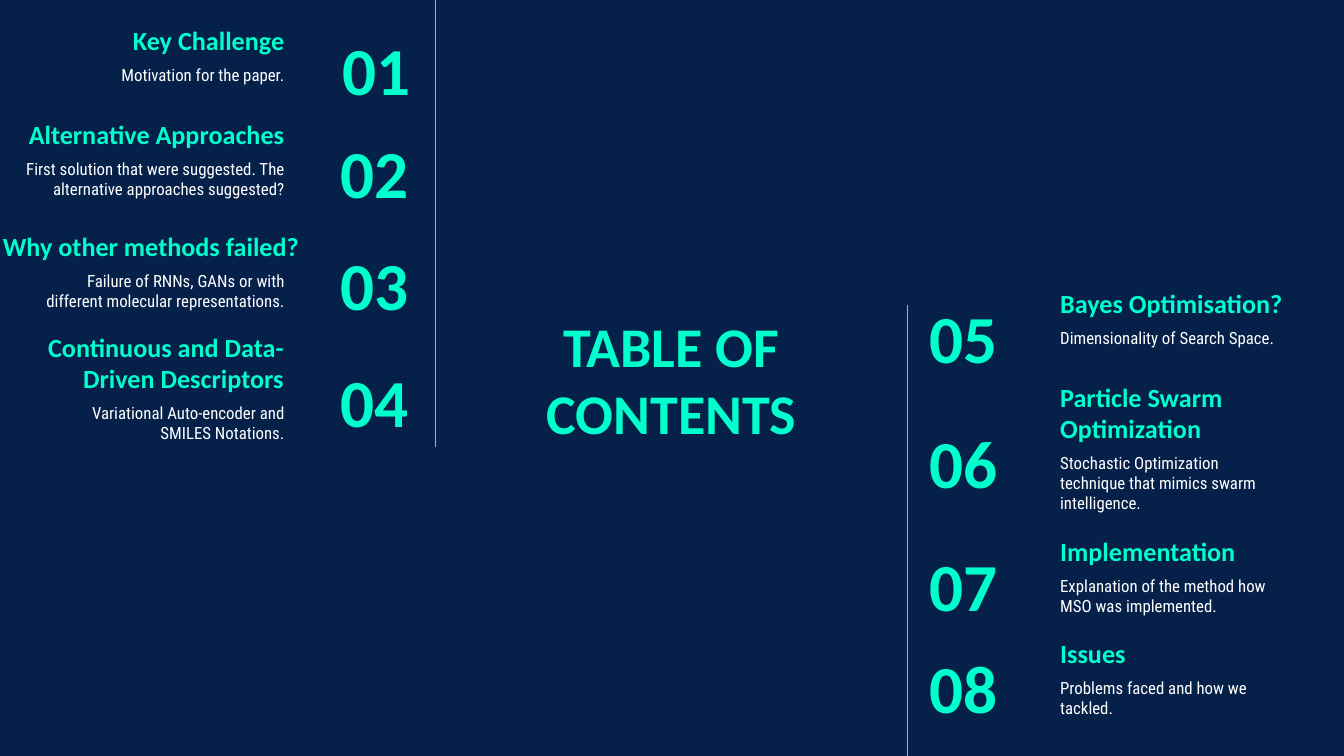
from lxml import etree
from pptx import Presentation
from pptx import util as u
from pptx.dml.color import RGBColor
from pptx.enum import shapes, text
from pptx.oxml import ns

NAVY = RGBColor(0x05, 0x21, 0x4A)
MINT = RGBColor(0x00, 0xFF, 0xCD)
WHITE = RGBColor(0xFF, 0xFF, 0xFF)

LEFT, CENTER, RIGHT = text.PP_ALIGN.LEFT, text.PP_ALIGN.CENTER, text.PP_ALIGN.RIGHT
TOP, MIDDLE, BOTTOM = text.MSO_ANCHOR.TOP, text.MSO_ANCHOR.MIDDLE, text.MSO_ANCHOR.BOTTOM

ROW_HEIGHT = 45.4
DETAIL_DROP = 35.7
RIGHT_NUMBER_DROP = 25.2

# number, heading, detail, heading top, number top, heading right, heading width, detail width
LEFT_TOPICS = [
    ("01", "Key Challenge", "Motivation for the paper.",
     -8.5, 14.3, 159.5, 155.5, 131.8),
    ("02", "Alternative Approaches",
     "First solution that were suggested. The alternative approaches suggested?",
     42, 69.3, 159.5, 155.5, 156.2),
    ("03", "Why other methods failed?",
     "Failure of RNNs, GANs or with different molecular representations.",
     102.2, 129, 167.4, 185.8, 142.6),
    ("04", "Continuous and Data-Driven Descriptors",
     "Variational Auto-encoder and SMILES Notations.",
     172.8, 192, 159.2, 167, 131.8),
]

RIGHT_TOPICS = [
    ("05", "Bayes Optimisation?", "Dimensionality of Search Space.", 132.6),
    ("06", "Particle Swarm Optimization",
     "Stochastic Optimization technique that mimics swarm intelligence.", 199.5),
    ("07", "Implementation", "Explanation of the method how MSO was implemented.", 265.5),
    ("08", "Issues", "Problems faced and how we tackled.", 320.2),
]


def write(box, words, size, font, color, bold, align, anchor):
    frame = box.text_frame
    frame.text = words
    frame.word_wrap = True
    frame.auto_size = text.MSO_AUTO_SIZE.NONE
    frame.vertical_anchor = anchor
    frame.margin_left = frame.margin_right = u.Pt(7.2)
    frame.margin_top = frame.margin_bottom = u.Pt(7.2)
    paragraph = frame.paragraphs[0]
    paragraph.alignment = align
    for run in paragraph.runs:
        run.font.size = u.Pt(size)
        run.font.name = font
        run.font.bold = bold
        run.font.color.rgb = color


def add_row(slide, left, top, width):
    return slide.shapes.add_textbox(u.Pt(left), u.Pt(top), u.Pt(width), u.Pt(ROW_HEIGHT))


def add_number(slide, number, left, top, width, align):
    write(add_row(slide, left, top, width), number, 36, "Calibri", MINT, True, align, MIDDLE)


def add_heading(slide, words, left, top, width, align):
    write(add_row(slide, left, top, width), words, 14, "Calibri", MINT, True, align, BOTTOM)


def add_detail(slide, words, left, top, width, align):
    write(add_row(slide, left, top, width), words, 9, "Roboto Condensed", WHITE, False,
          align, TOP)


def add_divider(slide, x, top, bottom):
    divider = slide.shapes.add_connector(
        shapes.MSO_CONNECTOR.STRAIGHT, u.Pt(x), u.Pt(top), u.Pt(x), u.Pt(bottom))
    divider.line.color.rgb = MINT
    divider.line.width = u.Pt(0.75)
    etree.SubElement(divider._element.spPr, ns.qn("a:effectLst"))


def add_title(slide, words):
    title = slide.shapes.title
    title.left, title.top = u.Pt(266.4), u.Pt(165.6)
    title.width, title.height = u.Pt(186.5), u.Pt(74.2)
    write(title, words, 30, "Calibri", MINT, True, CENTER, MIDDLE)


def main():
    deck = Presentation()
    deck.slide_width, deck.slide_height = u.Pt(720), u.Pt(405)
    slide = deck.slides.add_slide(deck.slide_layouts[5])
    slide.background.fill.solid()
    slide.background.fill.fore_color.rgb = NAVY

    add_title(slide, "TABLE OF CONTENTS")
    add_divider(slide, 233.2, 0, 239.6)
    add_divider(slide, 486.2, 163.4, 405)

    for (number, heading, detail, top, number_top,
         edge, heading_width, detail_width) in LEFT_TOPICS:
        number_edge = 227 if number == "01" else 226.1
        add_number(slide, number, number_edge - 87.1, number_top, 87.1, RIGHT)
        add_heading(slide, heading, edge - heading_width, top, heading_width, RIGHT)
        add_detail(slide, detail, 159.4 - detail_width, top + DETAIL_DROP,
                   detail_width, RIGHT)

    for number, heading, detail, top in RIGHT_TOPICS:
        add_number(slide, number, 490.8, top + RIGHT_NUMBER_DROP, 84.2, LEFT)
        add_heading(slide, heading, 560.9, top, 155.5, LEFT)
        add_detail(slide, detail, 560.9, top + DETAIL_DROP, 131.8, LEFT)

    deck.save("out.pptx")


main()
